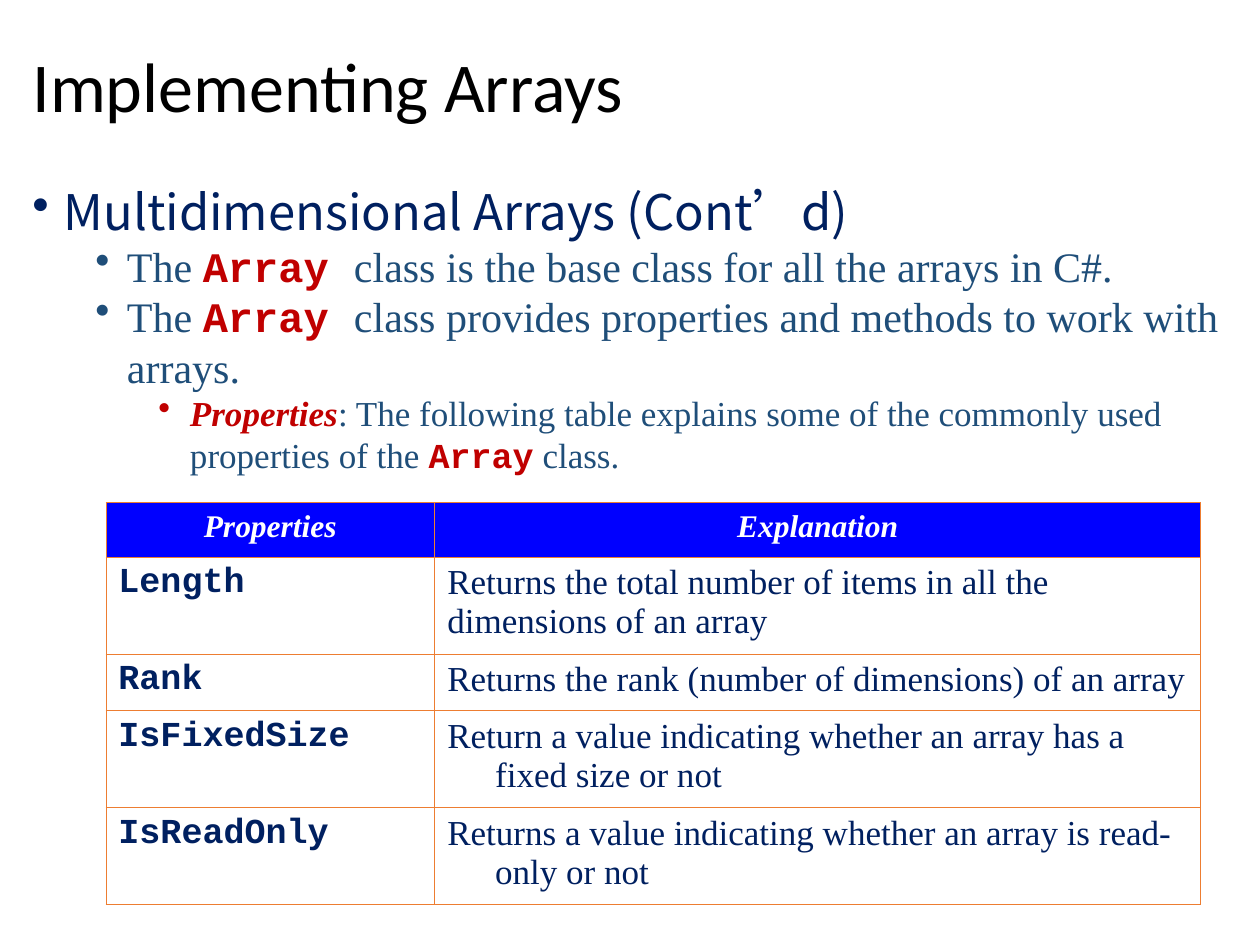
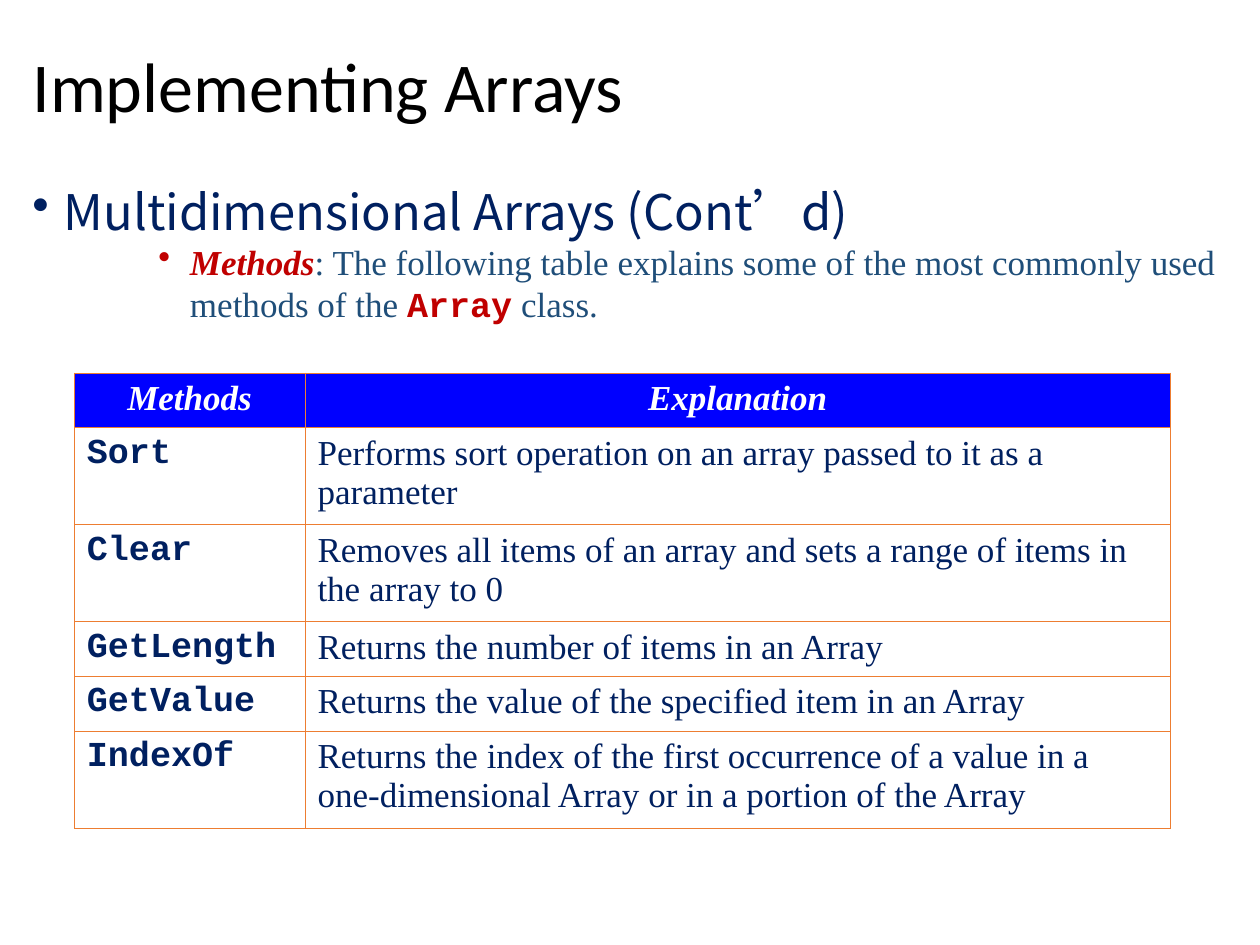
"""Build two slides on the Array class, each with bullets and a table."""
from dataclasses import dataclass

from lxml.etree import SubElement as Sub
from pptx import Presentation as Deck
from pptx.dml.color import RGBColor as RGB
from pptx.enum.text import MSO_ANCHOR as Anchor, PP_ALIGN as Align
from pptx.oxml.ns import qn
from pptx.util import Emu, Pt


@dataclass(frozen=True)
class Theme:
    """Colours, fonts and type sizes."""
    black: str = "000000"
    white: str = "FFFFFF"
    navy: str = "002060"
    steel: str = "1F4E79"
    red: str = "C00000"
    blue: str = "0000FF"
    rule: str = "ED7D31"
    title: str = "Calibri"
    head: str = "Noto Sans CJK SC"
    body: str = "Times New Roman"
    code: str = "Courier New"
    big: int = 40
    sizes: tuple = (28, 24, 20)
    cell: int = 20
    line: float = 0.45


def px(n):
    """Turn px into EMU, at 100 px to the inch."""
    return Emu(n * 9144)


def ink(font, name, color, size=None, bold=None, slant=None):
    """Set the face, colour and style of a font."""
    font.name = name
    font.color.rgb = RGB.from_string(color)
    if size:
        font.size = Pt(size)
    font.bold, font.italic = bold, slant


def hang(para, left, by):
    """Give a paragraph a hanging indent and return its properties."""
    prop = para._p.get_or_add_pPr()
    prop.set("marL", str(px(left)))
    prop.set("indent", str(-px(by)))
    return prop


class Pen:
    """Holds the theme and the slide being drawn."""

    def __init__(self, deck, theme):
        """Keep the deck and its theme."""
        self.deck, self.look, self.slide = deck, theme, None

    def page(self):
        """Start a blank slide."""
        self.slide = self.deck.slides.add_slide(self.deck.slide_layouts[6])

    def frame(self, x, y, w, h):
        """Add a wrapping text box and return its frame."""
        box = self.slide.shapes.add_textbox(px(x), px(y), px(w), px(h))
        box.text_frame.word_wrap = True
        return box.text_frame

    def title(self, text):
        """Add the slide title."""
        frame = self.frame(16, 11, 974, 120)
        frame.vertical_anchor = Anchor.MIDDLE
        para = frame.paragraphs[0]
        para.text, para.line_spacing = text, 0.9
        ink(para.font, self.look.title, self.look.black, self.look.big)

    def bullet(self, para, level, color):
        """Put a coloured bullet on a paragraph."""
        para.level = level
        prop = hang(para, 25 + 50 * level, 25)
        tint = Sub(prop, qn("a:buClr"))
        Sub(tint, qn("a:srgbClr")).set("val", color)
        Sub(prop, qn("a:buChar")).set("char", "•")

    def body(self, head, points):
        """Add the heading and its points of mixed runs."""
        look = self.look
        kinds = {
            "text": (look.body, look.steel),
            "code": (look.code, look.red, None, True),
            "term": (look.body, look.red, None, True, True),
        }
        frame = self.frame(16, 144, 974, 591)
        frame.margin_top = 0
        para = frame.paragraphs[0]
        para.text = head
        self.bullet(para, 0, look.navy)
        ink(para.font, look.head, look.navy, look.sizes[0])
        for level, runs in points:
            para = frame.add_paragraph()
            self.bullet(para, level, kinds[runs[0][0]][1])
            para.font.size = Pt(look.sizes[level])
            for kind, text in runs:
                run = para.add_run()
                run.text = text
                ink(run.font, *kinds[kind])

    def edge(self, cell):
        """Draw the four borders of a cell."""
        prop = cell._tc.get_or_add_tcPr()
        for side in "LRTB":
            line = Sub(prop, qn("a:ln" + side))
            line.set("w", str(Pt(self.look.line)))
            fill = Sub(line, qn("a:solidFill"))
            Sub(fill, qn("a:srgbClr")).set("val", self.look.rule)

    def cell(self, cell, text, style, fill=None):
        """Fill one cell with styled text and return its paragraph."""
        self.edge(cell)
        if fill:
            cell.fill.solid()
            cell.fill.fore_color.rgb = RGB.from_string(fill)
        else:
            cell.fill.background()
        para = cell.text_frame.paragraphs[0]
        para.text = text
        ink(para.font, *style)
        return para

    def table(self, x, y, cols, highs, rows, size, hung=()):
        """Add a table with a header row; rows in hung get a hanging indent."""
        look = self.look
        grid = self.slide.shapes.add_table(
            len(rows), len(cols), px(x), px(y),
            px(sum(cols)), px(sum(highs))).table
        grid.first_row = grid.horz_banding = False
        for col, wide in zip(grid.columns, cols):
            col.width = px(wide)
        for row, high in zip(grid.rows, highs):
            row.height = px(high)
        top = (look.body, look.white, size, True, True)
        styles = ((look.code, look.navy, look.cell, True),
                  (look.body, look.navy, look.cell))
        for r, row in enumerate(rows):
            for c, text in enumerate(row):
                spot = grid.cell(r, c)
                if r == 0:
                    para = self.cell(spot, text, top, look.blue)
                    para.alignment = Align.CENTER
                else:
                    para = self.cell(spot, text, styles[c])
                    if r in hung:
                        hang(para, 38, 38)


TITLE = "Implementing Arrays"
HEAD = "Multidimensional Arrays (Cont’d)"
PROPS = (
    ("Properties", "Explanation"),
    ("Length", "Returns the total number of items in all the dimensions"
               " of an array"),
    ("Rank", "Returns the rank (number of dimensions) of an array"),
    ("IsFixedSize", "Return a value indicating whether an array has a fixed"
                    " size or not"),
    ("IsReadOnly", "Returns a value indicating whether an array is read-only"
                   " or not"),
)
METHODS = (
    ("Methods", "Explanation"),
    ("Sort", "Performs sort operation on an array passed to it as a"
             " parameter"),
    ("Clear", "Removes all items of an array and sets a range of items in"
              " the array to 0"),
    ("GetLength", "Returns the number of items in an Array"),
    ("GetValue", "Returns the value of the specified item in an Array"),
    ("IndexOf", "Returns the index of the first occurrence of a value in a\n"
                "one-dimensional Array or in a portion of the Array"),
)


def about(text):
    """Return a second-level point on the Array class."""
    return 1, (("text", "The "), ("code", "Array "), ("text", text))


def intro(term, text):
    """Return the third-level point that leads into a table."""
    return 2, (("term", term), ("text", f": The following table explains {text}"
                                " of the "),
               ("code", "Array"), ("text", " class."))


def main():
    """Build both slides and save the deck."""
    deck = Deck()
    deck.slide_width, deck.slide_height = px(1000), px(750)
    pen = Pen(deck, Theme())

    pen.page()
    pen.title(TITLE)
    pen.body(HEAD, (
        about("class is the base class for all the arrays in C#."),
        about("class provides properties and methods to work with arrays."),
        intro("Properties", "some of the commonly used properties"),
    ))
    pen.table(84, 399, (261, 608), (43, 77, 45, 77, 77), PROPS, 18, (3, 4))

    pen.page()
    pen.title(TITLE)
    pen.body(HEAD, (
        intro("Methods", "some of the most commonly used methods"),
    ))
    pen.table(59, 296, (183, 687), (43, 77, 77, 43, 43, 77), METHODS, 20)

    deck.save("out.pptx")


if __name__ == "__main__":
    main()
